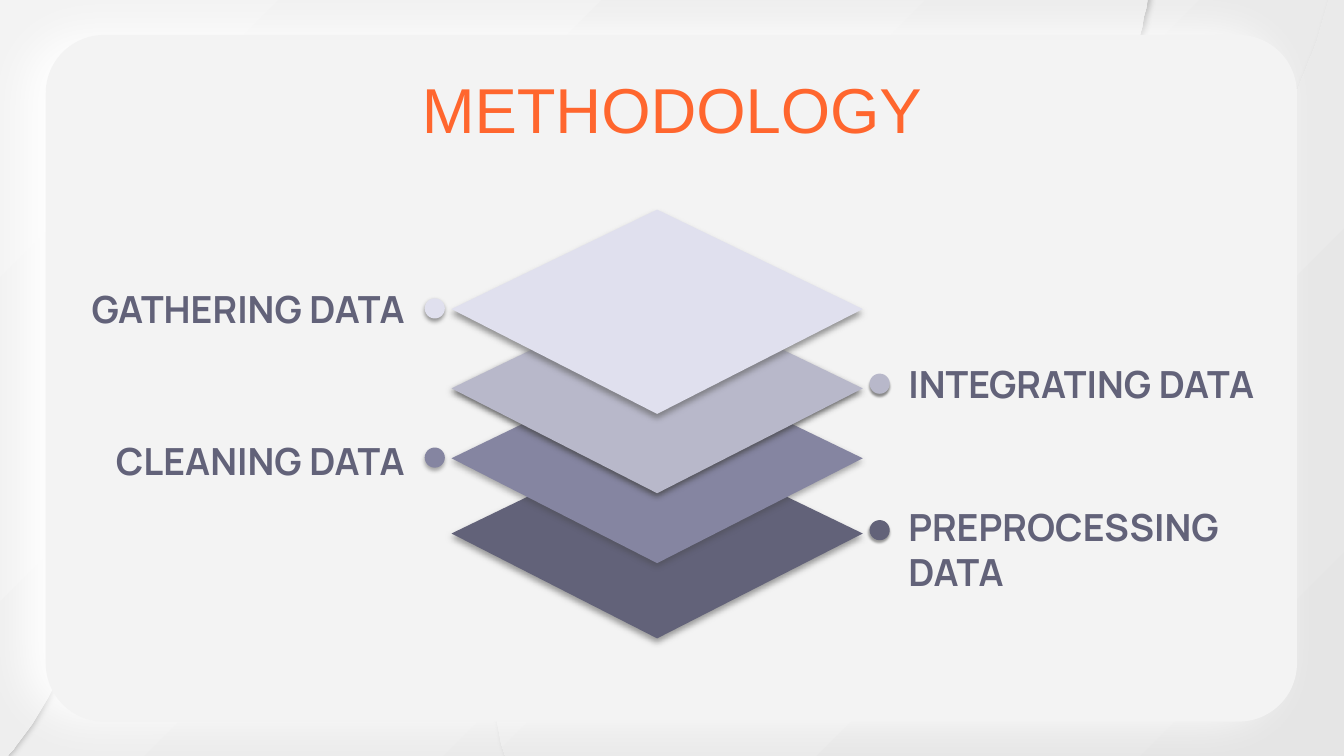
import pptx
import pptx.util
import pptx.dml.color
import pptx.enum.shapes
import pptx.enum.text
import pptx.oxml.ns
from lxml import etree

PX = 9144  # one px is 1/100 inch
ALIGN = pptx.enum.text.PP_ALIGN
SHAPE = pptx.enum.shapes.MSO_SHAPE
PALE, GREY, SLATE = "F3F3F3", "E5E5E5", "626279"

# Bottom to top: diamond top, dot left and top, fill,
# diamond shadow, dot shadow (colour, opacity, blur, distance, angle)
LAYERS = [
    (323, 647, 387, SLATE, ("434343", 51, 3.4, 2.2, 104), ("434343", 51, 1.1, 1.5, 104)),
    (267, 316, 333, "8585A1", ("434343", 43, 3.4, 1.5, 98), ("434343", 43, 2.2, 1.5, 100)),
    (215, 647, 278, "B8B8CA", ("434343", 78, 3.4, 1.5, 101), ("434343", 58, 1.1, 1.5, 94)),
    (156, 316, 222, "E0E0EE", ("666666", 68, 3.4, 2.2, 101), ("666666", 68, 2.2, 1.5, 100)),
]
LABELS = [
    ("GATHERING DATA", (49, 203, 262, 69), ALIGN.RIGHT),
    ("CLEANING DATA", (70, 316, 241, 69), ALIGN.RIGHT),
    ("INTEGRATING DATA", (666, 259, 291, 64), ALIGN.LEFT),
    ("PREPROCESSING DATA", (666, 365, 280, 48), ALIGN.LEFT),
]
# Backdrop outline: two numbers are a line's end,
# six are a Bézier curve's two handles and its end
START = (922, 131)
WAVE = [
    (853, 204, 736, 216, 801, 131), (838, 83, 853, 15, 859, -34),
    (0, -34), (0, 570),
    (17, 549, 48, 512, 68, 441), (120, 255, 272, 248, 330, 316),
    (395, 393, 311, 588, 456, 652),
    (1000, 652), (1000, -34), (996, -34),
    (989, 7, 970, 81, 922, 131),
]


def color(code):
    return pptx.dml.color.RGBColor.from_string(code)


def box(*sides):
    return [side * PX for side in sides]


def blend(fill):
    """Diagonal gradient from pale to grey."""
    fill.gradient()
    fill.gradient_angle = 315
    for stop, code, place in zip(fill.gradient_stops, (PALE, GREY), (0, 1)):
        stop.color.rgb = color(code)
        stop.position = place


def shade(shape, code, alpha, blur, dist, angle):
    """Give the shape an outer shadow."""
    shape.shadow.inherit = False
    tag = pptx.oxml.ns.qn
    effects = shape._element.spPr.find(tag("a:effectLst"))
    outer = etree.SubElement(
        effects, tag("a:outerShdw"), blurRad=str(int(blur * 12700)),
        dist=str(int(dist * 12700)), dir=str(angle * 60000),
        algn="bl", rotWithShape="0")
    tint = etree.SubElement(outer, tag("a:srgbClr"), val=code)
    etree.SubElement(tint, tag("a:alpha"), val=str(alpha * 1000))


def paint(shape, code, shadow):
    shape.line.fill.background()
    shape.fill.solid()
    shape.fill.fore_color.rgb = color(code)
    shade(shape, *shadow)
    return shape


def solid(slide, kind, place, code, shadow):
    return paint(slide.shapes.add_shape(kind, *box(*place)), code, shadow)


def outline(slide, points):
    pen = slide.shapes.build_freeform(*points[0], scale=PX)
    pen.add_line_segments(points[1:], close=True)
    return pen.convert_to_shape()


def curve(start, near, far, end, steps=24):
    """Points along a cubic Bézier curve, without its start."""
    points = []
    for step in range(1, steps + 1):
        t = step / steps
        u = 1 - t
        points.append(tuple(
            u**3 * a + 3 * u * u * t * b + 3 * u * t * t * c + t**3 * d
            for a, b, c, d in zip(start, near, far, end)))
    return points


def wave(slide):
    points = [START]
    for part in WAVE:
        if len(part) == 2:
            points.append(part)
        else:
            points += curve(points[-1], part[:2], part[2:4], part[4:])
    shape = outline(slide, points)
    shape.line.fill.background()
    blend(shape.fill)
    shade(shape, "B7B7B7", 91, 2.2, 1.5, 0)


def layer(slide, top, left, dot, code, shadow, glow):
    """One diamond of the stack with its dot."""
    points = [(489, top), (336, top + 74), (489, top + 152), (642, top + 74)]
    paint(outline(slide, points), code, shadow)
    solid(slide, SHAPE.OVAL, (left, dot, 15, 15), code, glow)


def label(slide, words, place, align, size, font, code, bold=False):
    frame = slide.shapes.add_textbox(*box(*place)).text_frame
    frame.word_wrap = True
    frame.margin_left = frame.margin_right = 10 * PX
    frame.margin_top = frame.margin_bottom = 10 * PX
    frame.text = words
    line = frame.paragraphs[0]
    line.alignment = align
    face = line.runs[0].font
    face.size = pptx.util.Pt(size)
    face.name = font
    face.bold = bold
    face.color.rgb = color(code)


def main():
    deck = pptx.Presentation()
    deck.slide_width = 1000 * PX
    deck.slide_height = deck.slide_width * 9 // 16
    slide = deck.slides.add_slide(deck.slide_layouts[6])

    # Backdrop and card
    blend(slide.background.fill)
    wave(slide)
    card = solid(slide, SHAPE.ROUNDED_RECTANGLE, (34, 26, 931, 511), PALE,
                 ("FFFFFF", 100, 24.8, 11.2, 185))
    card.adjustments[0] = 0.085

    # Stack of layers
    for row in LAYERS:
        layer(slide, *row)

    # Title and labels
    label(slide, "METHODOLOGY", (80, 42, 840, 69), ALIGN.CENTER, 34, "Arial", "FF662E")
    for words, place, align in LABELS:
        label(slide, words, place, align, 20, "Manrope", SLATE, True)

    deck.save("out.pptx")


if __name__ == "__main__":
    main()
